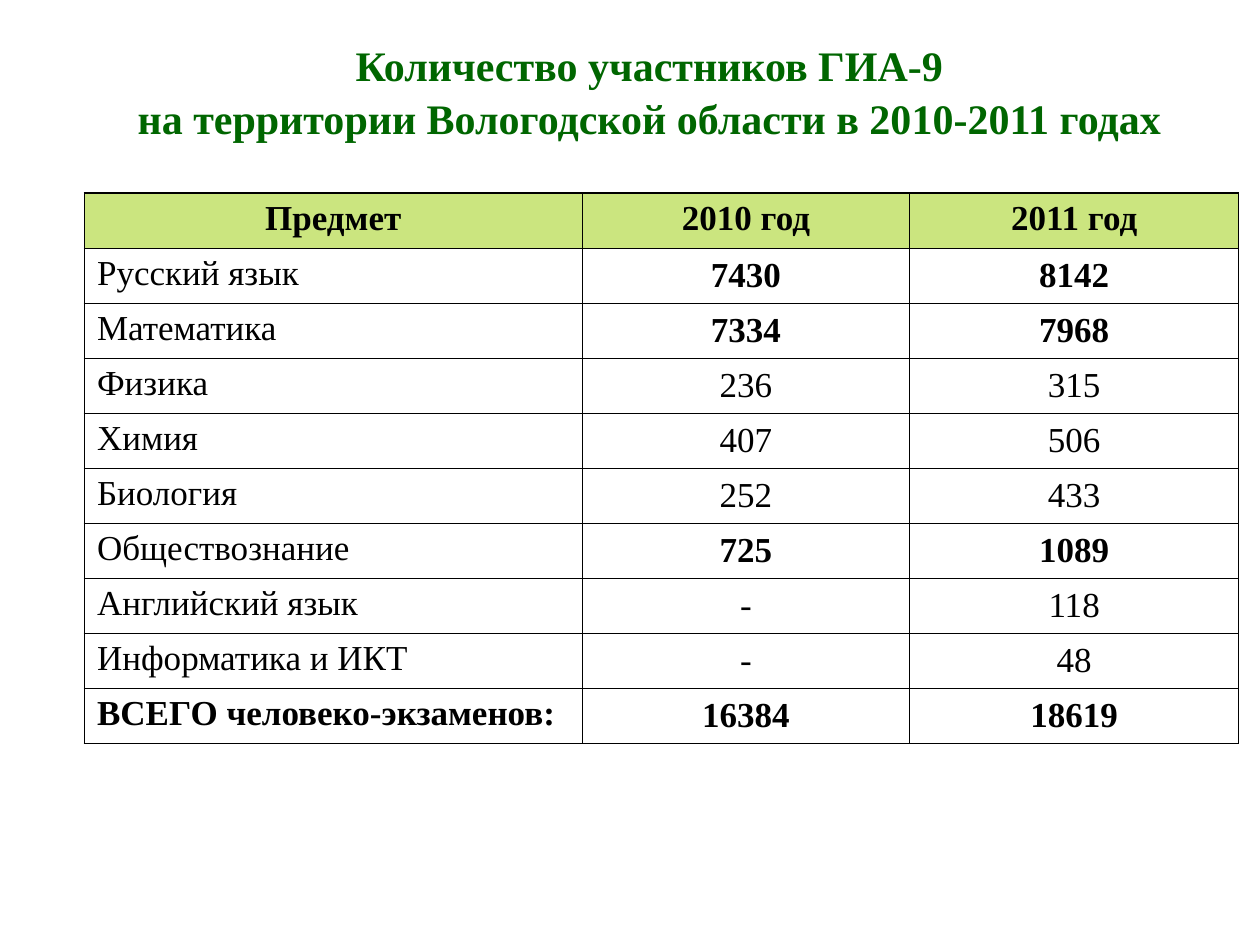
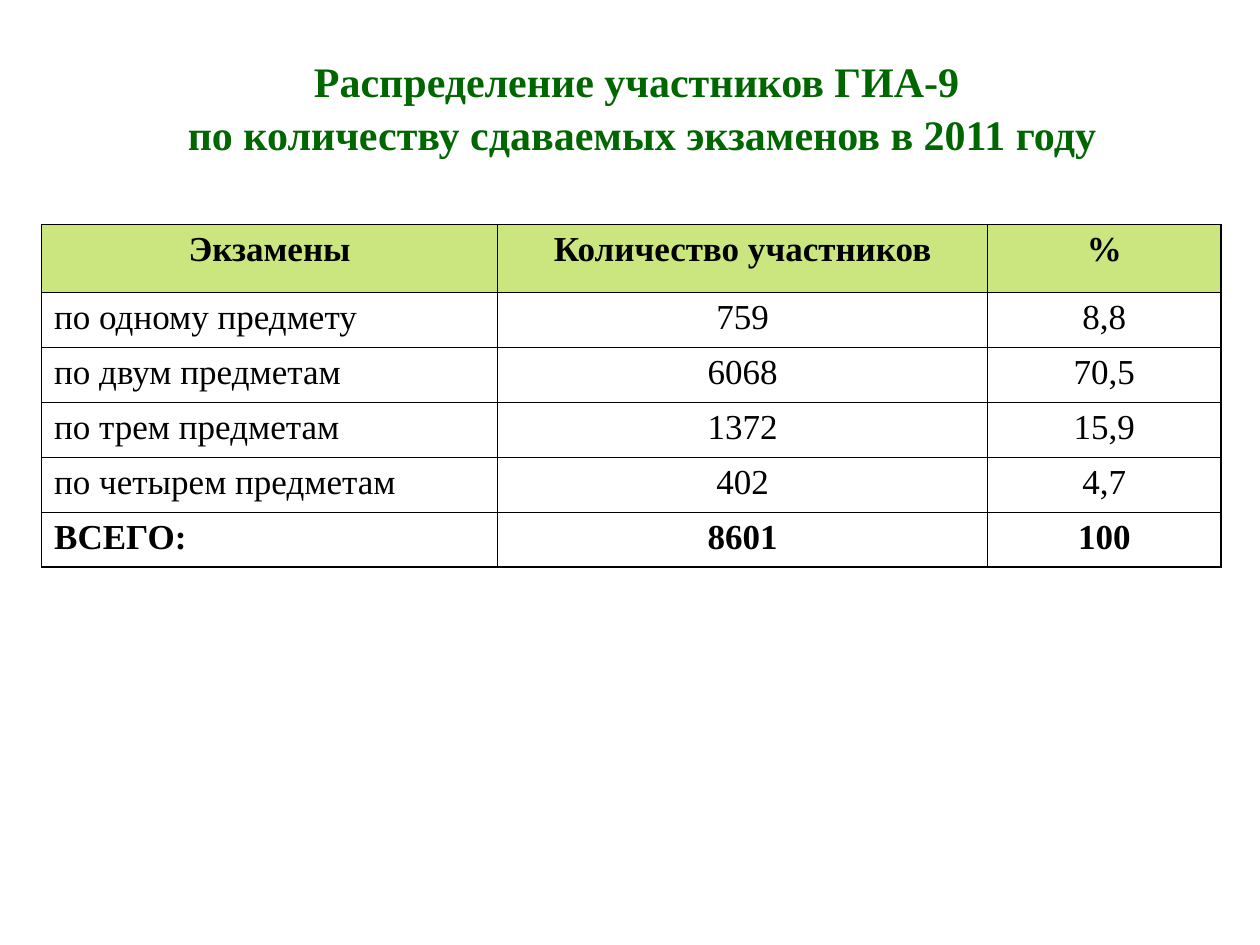
from lxml import etree
from pptx import Presentation
from pptx.dml.color import RGBColor
from pptx.enum.text import MSO_ANCHOR, PP_ALIGN
from pptx.oxml.ns import qn
from pptx.util import Inches, Pt

COLORS = {"title": "006600", "text": "000000", "border": "000000", "header": "99CC00"}
FONT = "Times New Roman"
OUTER_LINE, INNER_LINE = Pt(0.96), Pt(0.45)

PARTICIPANTS = [
    ("Предмет", "2010 год", "2011 год"),
    ("Русский язык", "7430", "8142"),
    ("Математика", "7334", "7968"),
    ("Физика", "236", "315"),
    ("Химия", "407", "506"),
    ("Биология", "252", "433"),
    ("Обществознание", "725", "1089"),
    ("Английский язык", "-", "118"),
    ("Информатика и ИКТ", "-", "48"),
    ("ВСЕГО человеко-экзаменов:", "16384", "18619"),
]
MASS_SUBJECTS = {"Русский язык", "Математика", "Обществознание"}

EXAM_COUNTS = [
    ("Экзамены", "Количество участников", "%"),
    ("по одному предмету", "759", "8,8"),
    ("по двум предметам", "6068", "70,5"),
    ("по трем предметам", "1372", "15,9"),
    ("по четырем предметам", "402", "4,7"),
    ("ВСЕГО:", "8601", "100"),
]


def write_text(paragraph, text, size=20, color="text", bold=False,
               align=PP_ALIGN.CENTER, spacing=1.0):
    """Write one formatted run into a paragraph."""
    paragraph.alignment = align
    paragraph.line_spacing = spacing
    run = paragraph.add_run()
    run.text = text
    run.font.name = FONT
    run.font.size = Pt(size)
    run.font.bold = bold
    run.font.color.rgb = RGBColor.from_string(COLORS[color])


def add_title(slide, box, lines, anchor):
    """Add the centred green title, one paragraph per line."""
    shape = slide.shapes.add_textbox(*map(Inches, box))
    frame = shape.text_frame
    frame.word_wrap = True
    frame.vertical_anchor = anchor
    for index, line in enumerate(lines):
        paragraph = frame.add_paragraph() if index else frame.paragraphs[0]
        write_text(paragraph, line, size=24, color="title", bold=True, spacing=1.05)


def fill_cell(cell, is_header):
    """Give header cells a half-transparent fill and clear the others."""
    if not is_header:
        cell.fill.background()
        return
    cell.fill.solid()
    cell.fill.fore_color.rgb = RGBColor.from_string(COLORS["header"])
    color = cell._tc.tcPr.find(f".//{qn('a:srgbClr')}")
    etree.SubElement(color, qn("a:alpha"), val="50000")


def draw_borders(cell, outer_sides):
    """Draw four cell borders, heavier on the outer sides of the table."""
    properties = cell._tc.get_or_add_tcPr()
    for position, side in enumerate("LRTB"):
        width = OUTER_LINE if side in outer_sides else INNER_LINE
        line = etree.Element(qn(f"a:ln{side}"), w=str(int(width)))
        fill = etree.SubElement(line, qn("a:solidFill"))
        etree.SubElement(fill, qn("a:srgbClr"), val=COLORS["border"])
        properties.insert(position, line)


def add_data_table(slide, left, top, column_widths, header_height, body_height,
                   rows, bold_labels=(), number_anchor=MSO_ANCHOR.TOP):
    """Add a bordered table with a green header and a bold total row."""
    last_row, last_column = len(rows) - 1, len(column_widths) - 1
    frame = slide.shapes.add_table(
        len(rows), len(column_widths), Inches(left), Inches(top),
        Inches(sum(column_widths)), Inches(header_height + body_height))
    table = frame.table
    table.horz_banding = False
    for column, width in zip(table.columns, column_widths):
        column.width = Inches(width)
    for row_index, values in enumerate(rows):
        is_header, is_total = row_index == 0, row_index == last_row
        table.rows[row_index].height = Inches(
            header_height if is_header else body_height / last_row)
        for column_index, value in enumerate(values):
            cell = table.cell(row_index, column_index)
            is_label = column_index == 0 and not is_header
            is_number = column_index > 0 and not is_header
            bold = is_header or is_total or (is_number and values[0] in bold_labels)
            cell.vertical_anchor = number_anchor if is_number else MSO_ANCHOR.TOP
            write_text(cell.text_frame.paragraphs[0], value, bold=bold,
                       align=PP_ALIGN.LEFT if is_label else PP_ALIGN.CENTER)
            fill_cell(cell, is_header)
            edges = {"L": column_index == 0, "R": column_index == last_column,
                     "T": is_header, "B": is_total}
            draw_borders(cell, {side for side, outer in edges.items() if outer})


def build_participants(slide):
    """Build the slide comparing participants by subject and year."""
    add_title(slide, (0.71, 0.28, 8.97, 0.9),
              ["Количество участников ГИА-9 ",
               "на территории Вологодской области в 2010-2011 годах "],
              MSO_ANCHOR.BOTTOM)
    add_data_table(slide, 0.67, 1.53, (3.95, 2.6, 2.61), 0.44, 3.93, PARTICIPANTS,
                   bold_labels=MASS_SUBJECTS, number_anchor=MSO_ANCHOR.MIDDLE)


def build_exam_counts(slide):
    """Build the slide distributing participants by number of exams."""
    add_title(slide, (1.36, 0.39, 7.47, 0.9),
              ["Распределение участников ГИА-9 ",
               "по количеству сдаваемых экзаменов в 2011 году"],
              MSO_ANCHOR.MIDDLE)
    add_data_table(slide, 0.33, 1.78, (3.62, 3.89, 1.85), 0.54, 2.18, EXAM_COUNTS)


def main():
    """Create the presentation and save it."""
    presentation = Presentation()
    presentation.slide_width, presentation.slide_height = Inches(10), Inches(7.5)
    for build in (build_participants, build_exam_counts):
        build(presentation.slides.add_slide(presentation.slide_layouts[6]))
    presentation.save("out.pptx")


if __name__ == "__main__":
    main()
